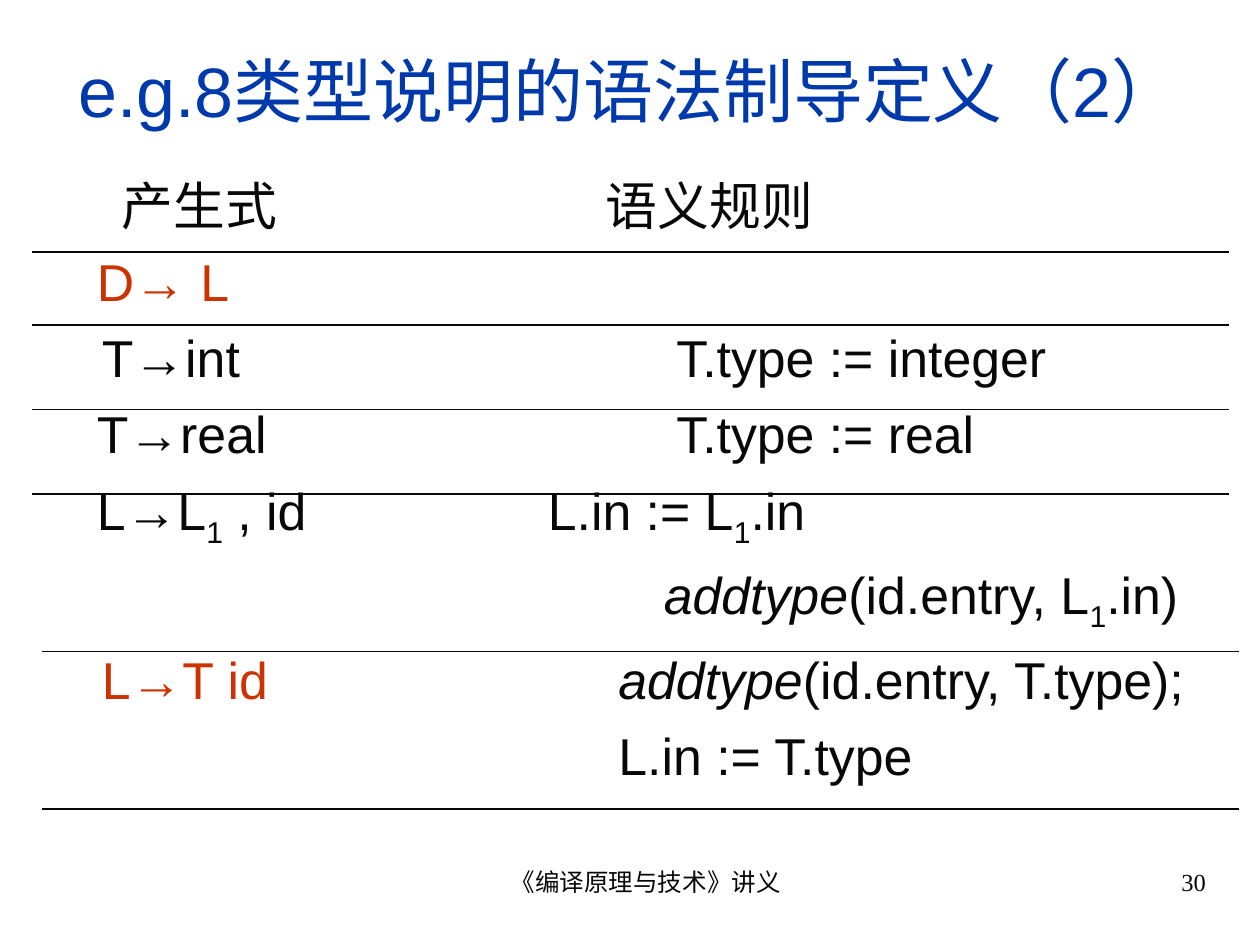
from pptx import Presentation
from pptx.dml.color import RGBColor
from pptx.enum.shapes import MSO_CONNECTOR
from pptx.enum.text import MSO_ANCHOR, PP_ALIGN
from pptx.oxml.ns import qn
from pptx.util import Inches, Pt
from lxml.etree import SubElement

BLUE = RGBColor(0x00, 0x39, 0xAC)
BLACK = RGBColor(0x08, 0x08, 0x08)
RED = RGBColor(0xCC, 0x33, 0x00)

SUB, ITALIC = "sub", "italic"

# Each row: production start, production, production colour, rule start, rule.
# A part is (text, style); starts are measured from the text edge in inches.
GRAMMAR_ROWS = [
    (0.54, [("产生式", None)], BLACK, 4.38, [("语义规则", None)]),
    (0.34, [("D→ L", None)], RED, None, []),
    (0.38, [("T→int", None)], BLACK, 4.94, [("T.type := integer", None)]),
    (0.34, [("T→real", None)], BLACK, 4.94, [("T.type := real", None)]),
    (0.34, [("L→L", None), ("1", SUB), (" , id", None)], BLACK,
     3.92, [("L.in := L", None), ("1", SUB), (".in", None)]),
    (None, [], BLACK, 4.84,
     [("addtype", ITALIC), ("(id.entry, L", None), ("1", SUB), (".in)", None)]),
    (0.38, [("L→T id", None)], RED, 4.48,
     [("addtype", ITALIC), ("(id.entry, T.type);", None)]),
    (None, [], BLACK, 4.48, [("L.in := T.type", None)]),
]

# Left end and height of each separator
SEPARATORS = [(0.25, 2), (0.25, 2.58), (0.25, 3.25), (0.25, 3.92),
              (0.33, 5.17), (0.33, 6.42)]
SEPARATOR_LENGTH = 9.5


def add_frame(slide, left, top, width, height, anchor=MSO_ANCHOR.TOP):
    box = slide.shapes.add_textbox(Inches(left), Inches(top),
                                   Inches(width), Inches(height))
    frame = box.text_frame
    frame.word_wrap = True
    frame.vertical_anchor = anchor
    return frame


def add_run(paragraph, text, size, color, font="Arial", style=None):
    run = paragraph.add_run()
    run.text = text
    run.font.name = font
    run.font.size = Pt(size)
    run.font.color.rgb = color
    if style == ITALIC:
        run.font.italic = True
    elif style == SUB:
        run._r.get_or_add_rPr().set("baseline", "-25000")


def set_tab_stops(paragraph, stops):
    tab_list = SubElement(paragraph._p.get_or_add_pPr(), qn("a:tabLst"))
    for stop in stops:
        SubElement(tab_list, qn("a:tab"), pos=str(Inches(stop)), algn="l")


def add_grammar_row(paragraph, row):
    production_at, production, production_color, rule_at, rule = row
    paragraph.space_before = Pt(8)
    set_tab_stops(paragraph, [x for x in (production_at, rule_at) if x])
    for parts, color in ((production, production_color), (rule, BLACK)):
        for index, (text, style) in enumerate(parts):
            lead = "\t" if index == 0 else ""
            add_run(paragraph, lead + text, 29.6, color, style=style)


def add_separator(slide, left, top):
    line = slide.shapes.add_connector(
        MSO_CONNECTOR.STRAIGHT, Inches(left), Inches(top),
        Inches(left + SEPARATOR_LENGTH), Inches(top))
    line.line.color.rgb = BLACK
    line.line.width = Pt(0.75)
    SubElement(line._element.spPr, qn("a:effectLst"))


def add_footer(slide, text, left, width, alignment):
    frame = add_frame(slide, left, 6.83, width, 0.52)
    frame.margin_left = Inches(0.34)
    paragraph = frame.paragraphs[0]
    paragraph.alignment = alignment
    add_run(paragraph, text, 14, BLACK, "Times New Roman")


def main():
    deck = Presentation()
    deck.slide_width, deck.slide_height = Inches(10), Inches(7.5)
    slide = deck.slides.add_slide(deck.slide_layouts[6])

    # Title
    title = add_frame(slide, 0.33, 0.25, 9.34, 0.92, MSO_ANCHOR.MIDDLE)
    title.margin_left = title.margin_right = Inches(0.2)
    title.paragraphs[0].alignment = PP_ALIGN.CENTER
    add_run(title.paragraphs[0], "e.g.8类型说明的语法制导定义（2）", 40, BLUE)

    # Productions and semantic rules
    grammar = add_frame(slide, 0.33, 1.33, 9.34, 5.34)
    for index, row in enumerate(GRAMMAR_ROWS):
        paragraph = grammar.add_paragraph() if index else grammar.paragraphs[0]
        add_grammar_row(paragraph, row)

    # Row separators
    for left, top in SEPARATORS:
        add_separator(slide, left, top)

    # Footer and page number
    add_footer(slide, "《编译原理与技术》讲义", 3.42, 3.17, PP_ALIGN.CENTER)
    add_footer(slide, "30", 7.17, 2.5, PP_ALIGN.RIGHT)

    deck.save("out.pptx")


if __name__ == "__main__":
    main()
